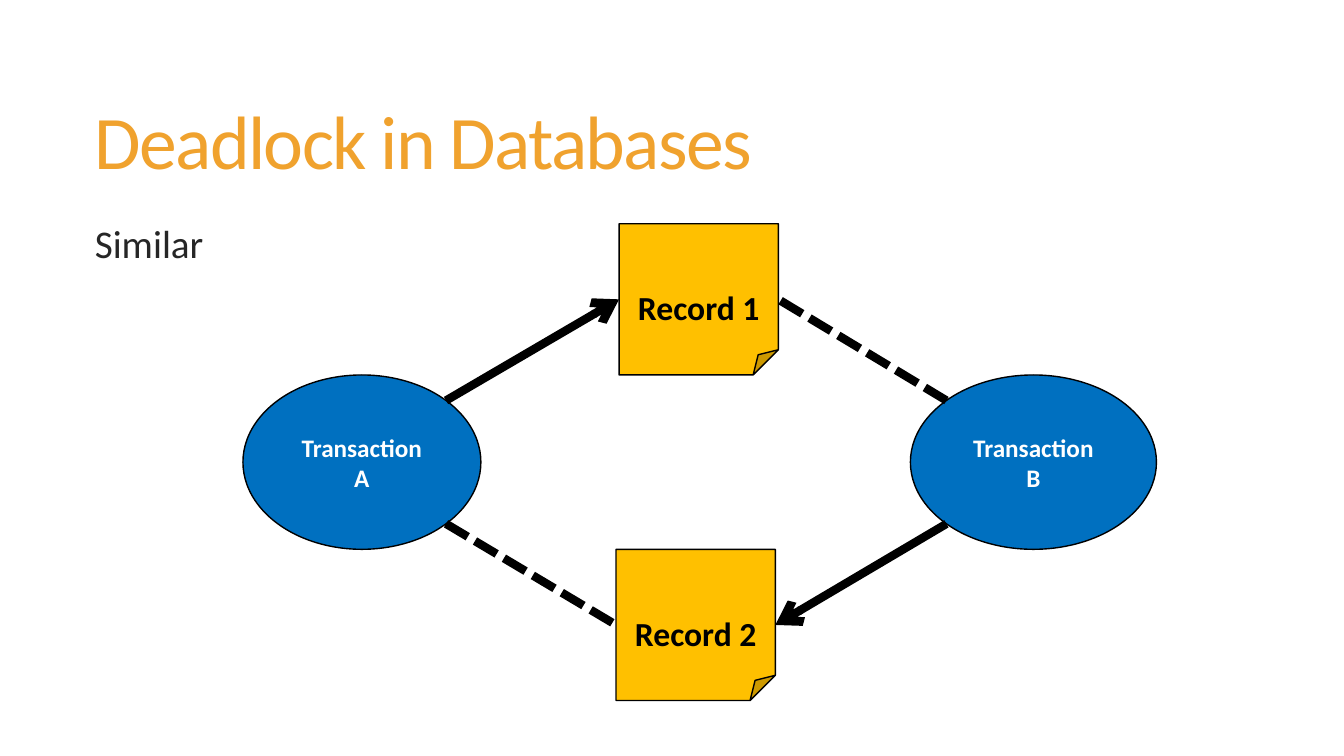
from math import sqrt

from lxml.etree import SubElement
from pptx import Presentation
from pptx.dml.color import RGBColor
from pptx.enum.dml import MSO_LINE
from pptx.enum.shapes import MSO_CONNECTOR, MSO_SHAPE
from pptx.enum.text import MSO_ANCHOR as ANCHOR, MSO_AUTO_SIZE, PP_ALIGN as ALIGN
from pptx.oxml.ns import qn
from pptx.util import Inches, Pt

LEFT, RIGHT = 1, 3


def rgb(value):
    """Turn a hex string into a colour."""
    return RGBColor.from_string(value)


def write(sp, text, size, color, bold=False, align=ALIGN.LEFT, spacing=None, **frame):
    """Fill a shape with text, one paragraph per line."""
    tf = sp.text_frame
    tf.text = text
    frame = {"word_wrap": True, "auto_size": MSO_AUTO_SIZE.NONE, **frame}
    for name, value in frame.items():
        setattr(tf, name, value)
    for p in tf.paragraphs:
        p.alignment, p.line_spacing = align, spacing
        for r in p.runs:
            for name, value in {"size": Pt(size), "name": "Calibri", "bold": bold}.items():
                setattr(r.font, name, value)
            r.font.color.rgb = rgb(color)


def add_heading(s, x, y, w, h, text):
    """Place and format the slide title."""
    sp = s.shapes.title
    for name, value in {"left": x, "top": y, "width": w, "height": h}.items():
        setattr(sp, name, Inches(value))
    write(sp, text, 54, "F0A22E", spacing=0.85, margin_left=Inches(0.22),
          vertical_anchor=ANCHOR.MIDDLE)
    sp.text_frame.paragraphs[0].runs[0].font._element.set("spc", "-120")


def add_body(s, x, y, w, h, text):
    """Add the body text."""
    sp = s.shapes.add_textbox(*map(Inches, (x, y, w, h)))
    write(sp, text, 28, "262626", spacing=0.85, margin_left=Inches(0.2))


def add_node(s, kind, x, y, w, h, fill, text, size, color, **frame):
    """Add an outlined node with bold centred text."""
    sp = s.shapes.add_shape(kind, *map(Inches, (x, y, w, h)))
    sp.shadow.inherit = False
    sp.fill.solid()
    sp.fill.fore_color.rgb = rgb(fill)
    sp.line.color.rgb = rgb("000000")
    sp.line.width = Pt(1)
    write(sp, text, size, color, True, ALIGN.CENTER,
          vertical_anchor=ANCHOR.MIDDLE, **frame)
    return sp


def add_transaction(s, x, y, w, h, name):
    """Add a transaction ellipse."""
    return add_node(s, MSO_SHAPE.OVAL, x, y, w, h, "0070C0",
                    f"Transaction\n{name}", 18, "FFFFFF")


def add_record(s, x, y, w, h, name):
    """Add a record note, its label set one line below the middle."""
    return add_node(s, MSO_SHAPE.FOLDED_CORNER, x, y, w, h, "FFC000",
                    f"Record {name}", 24, "000000", margin_top=Inches(0.46))


def link(s, oval, record, across, down, holds):
    """Join an ellipse's diagonal point to a record: arrow if held, dashes if awaited."""
    x = int(oval.left + oval.width / 2 * (1 + across / sqrt(2)))
    y = int(oval.top + oval.height / 2 * (1 + down / sqrt(2)))
    line = s.shapes.add_connector(MSO_CONNECTOR.STRAIGHT, x, y, x, y)
    line.end_connect(record, LEFT if across > 0 else RIGHT)
    line.line.color.rgb = rgb("000000")
    line.line.width = Pt(6)
    if holds:
        SubElement(line.line._get_or_add_ln(), qn("a:tailEnd"), type="arrow")
    else:
        line.line.dash_style = MSO_LINE.SQUARE_DOT
    SubElement(line._element.spPr, qn("a:effectLst"))


def add_deadlock(s, x, y):
    """Draw the cycle of two transactions and two records from its top left corner."""
    a = add_transaction(s, x, y + 1.5, 2.36, 1.73, "A")
    b = add_transaction(s, x + 6.62, y + 1.5, 2.44, 1.73, "B")
    first = add_record(s, x + 3.73, y, 1.58, 1.5, 1)
    second = add_record(s, x + 3.7, y + 3.23, 1.58, 1.5, 2)
    for oval, across, held in ((a, 1, first), (b, -1, second)):
        for record, down in ((first, -1), (second, 1)):
            link(s, oval, record, across, down, record is held)


def main():
    """Build the slide and save it."""
    prs = Presentation()
    prs.slide_width, prs.slide_height = Inches(13.33), Inches(7.5)
    s = prs.slides.add_slide(prs.slide_layouts[5])
    add_heading(s, 0.72, 0.55, 11.78, 1.81, "Deadlock in Databases")
    add_body(s, 0.74, 2.2, 11.76, 4.12, "Similar")
    add_deadlock(s, 2.41, 2.22)
    prs.save("out.pptx")


if __name__ == "__main__":
    main()
